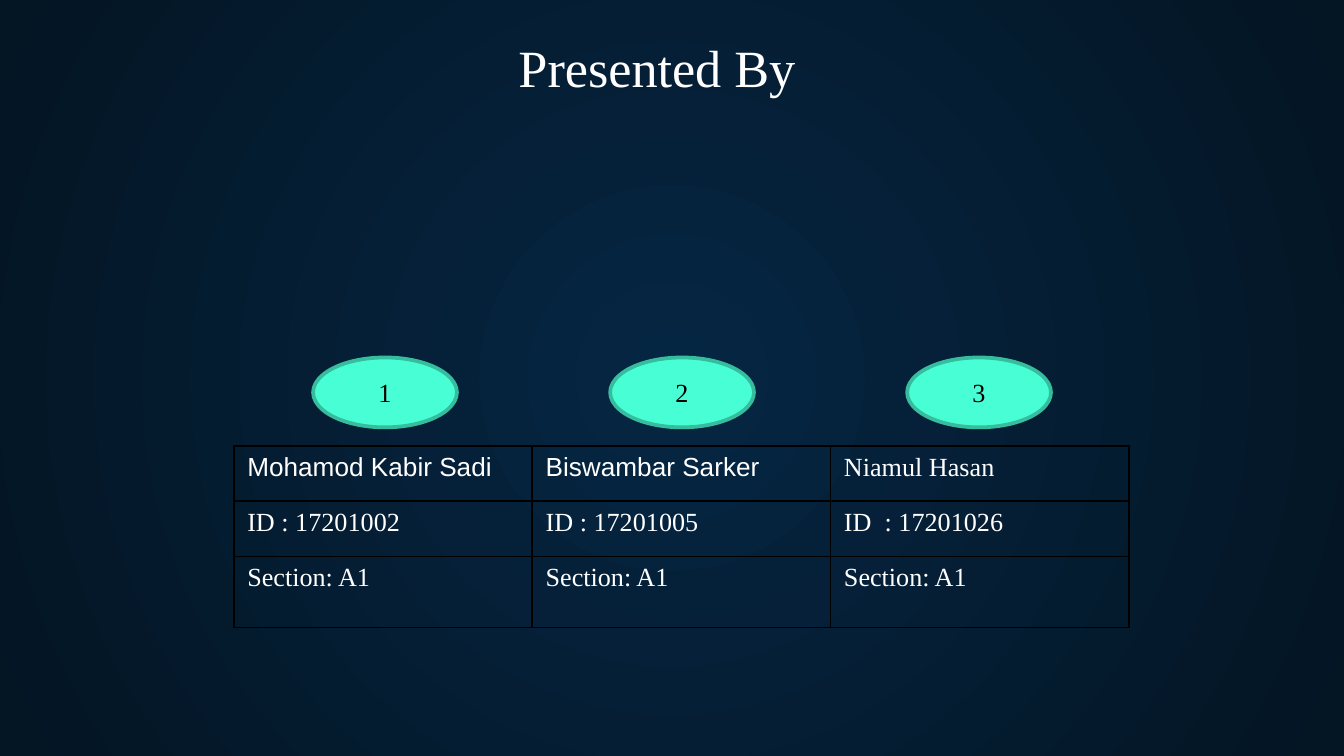
import pptx
import pptx.dml.color
import pptx.enum.shapes
import pptx.enum.text
import pptx.oxml
import pptx.oxml.ns
import pptx.util
from pptx.util import Inches

TITLE = "Presented By"
# name, name font, ID line, section line
PRESENTERS = [
    ("Mohamod Kabir Sadi", "Arial", "ID : 17201002", "Section: A1"),
    ("Biswambar Sarker", "Arial", "ID : 17201005", "Section: A1"),
    ("Niamul Hasan", "Times New Roman", "ID  : 17201026", "Section: A1"),
]

THEME = {
    "font": "Times New Roman",
    "title_size": 28, "body_size": 14,
    "text": "FFFFFF", "badge_text": "000000",
    "badge": "48FFD5", "badge_line": "35BD9E",
    "border": "000000",
    "center": "052643", "edge": "041523",
}

SLIDE_WIDTH = 10
SLIDE_HEIGHT = SLIDE_WIDTH * 9 / 16
COLUMN_WIDTH = 2.22
ROW_HEIGHTS = [0.41, 0.41, 0.53]
TABLE_LEFT, TABLE_TOP = 1.74, 3.32
BADGE_LEFT, BADGE_TOP, BADGE_PITCH = 2.33, 2.66, 2.21
BADGE_WIDTH, BADGE_HEIGHT = 1.07, 0.52


def color(key):
    return pptx.dml.color.RGBColor.from_string(THEME[key])


def write(frame, text, size, color_key, font=THEME["font"]):
    paragraph = frame.paragraphs[0]
    paragraph.text = text
    paragraph.font.name = font
    paragraph.font.size = pptx.util.Pt(THEME[size])
    paragraph.font.color.rgb = color(color_key)
    return paragraph


def add_borders(cell):
    properties = cell._tc.get_or_add_tcPr()
    for position, side in enumerate(("lnL", "lnR", "lnT", "lnB")):
        properties.insert(position, pptx.oxml.parse_xml(
            f'<a:{side} {pptx.oxml.ns.nsdecls("a")} w="12700"><a:solidFill>'
            f'<a:srgbClr val="{THEME["border"]}"/></a:solidFill></a:{side}>'))


def paint_background(slide):
    fill = slide.background.fill
    fill.gradient()
    for stop, key in zip(fill.gradient_stops, ("center", "edge")):
        stop.color.rgb = color(key)
    # Turn the linear gradient into a circular one
    linear = next(slide.element.iter(pptx.oxml.ns.qn("a:lin")))
    linear.getparent().replace(linear, pptx.oxml.parse_xml(
        f'<a:path {pptx.oxml.ns.nsdecls("a")} path="circle">'
        '<a:fillToRect l="50000" t="50000" r="50000" b="50000"/></a:path>'))


def add_title(slide):
    title = slide.shapes.add_textbox(
        Inches(3.76), Inches(0.21), Inches(5), Inches(0.57))
    title.text_frame.word_wrap = True
    title.text_frame.auto_size = pptx.enum.text.MSO_AUTO_SIZE.SHAPE_TO_FIT_TEXT
    write(title.text_frame, TITLE, "title_size", "text")


def add_presenter_table(slide):
    table = slide.shapes.add_table(
        len(ROW_HEIGHTS), len(PRESENTERS), Inches(TABLE_LEFT), Inches(TABLE_TOP),
        Inches(COLUMN_WIDTH * len(PRESENTERS)), Inches(sum(ROW_HEIGHTS))).table
    table.first_row = table.horz_banding = False
    for row, height in zip(table.rows, ROW_HEIGHTS):
        row.height = Inches(height)
    for column, (name, name_font, *details) in enumerate(PRESENTERS):
        table.columns[column].width = Inches(COLUMN_WIDTH)
        for row, text in enumerate([name, *details]):
            cell = table.cell(row, column)
            cell.fill.background()
            add_borders(cell)
            font = name_font if row == 0 else THEME["font"]
            write(cell.text_frame, text, "body_size", "text", font)


def add_badge(slide, index):
    badge = slide.shapes.add_shape(
        pptx.enum.shapes.MSO_SHAPE.OVAL,
        Inches(BADGE_LEFT + index * BADGE_PITCH), Inches(BADGE_TOP),
        Inches(BADGE_WIDTH), Inches(BADGE_HEIGHT))
    badge.shadow.inherit = False
    badge.fill.solid()
    badge.fill.fore_color.rgb = color("badge")
    badge.line.color.rgb = color("badge_line")
    badge.line.width = pptx.util.Pt(2)
    badge.text_frame.vertical_anchor = pptx.enum.text.MSO_ANCHOR.MIDDLE
    number = write(badge.text_frame, str(index + 1), "body_size", "badge_text")
    number.alignment = pptx.enum.text.PP_ALIGN.CENTER


def main():
    deck = pptx.Presentation()
    deck.slide_width, deck.slide_height = Inches(SLIDE_WIDTH), Inches(SLIDE_HEIGHT)
    slide = deck.slides.add_slide(deck.slide_layouts[6])
    paint_background(slide)
    add_presenter_table(slide)
    add_title(slide)
    for index in range(len(PRESENTERS)):
        add_badge(slide, index)
    deck.save("out.pptx")


if __name__ == "__main__":
    main()
